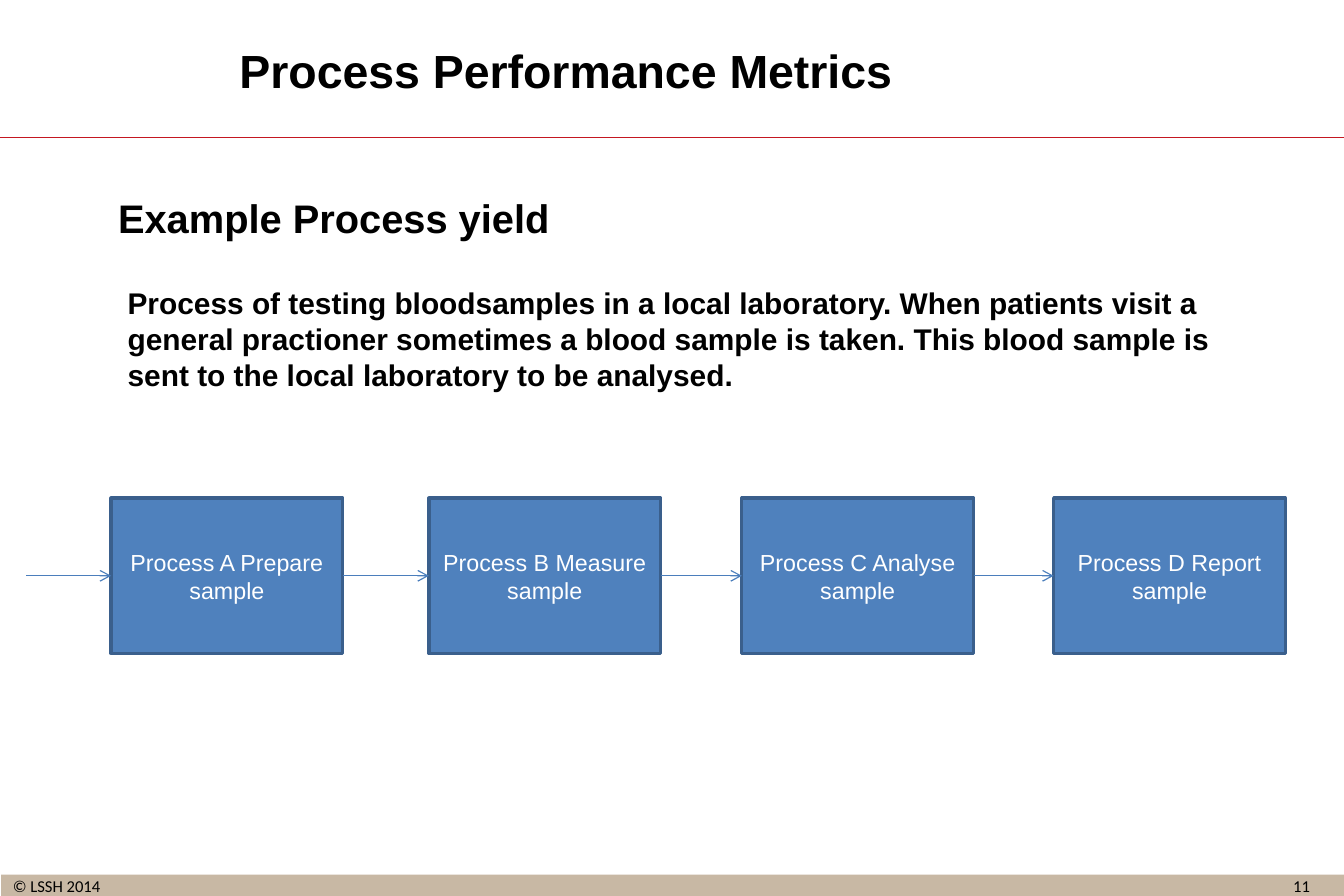
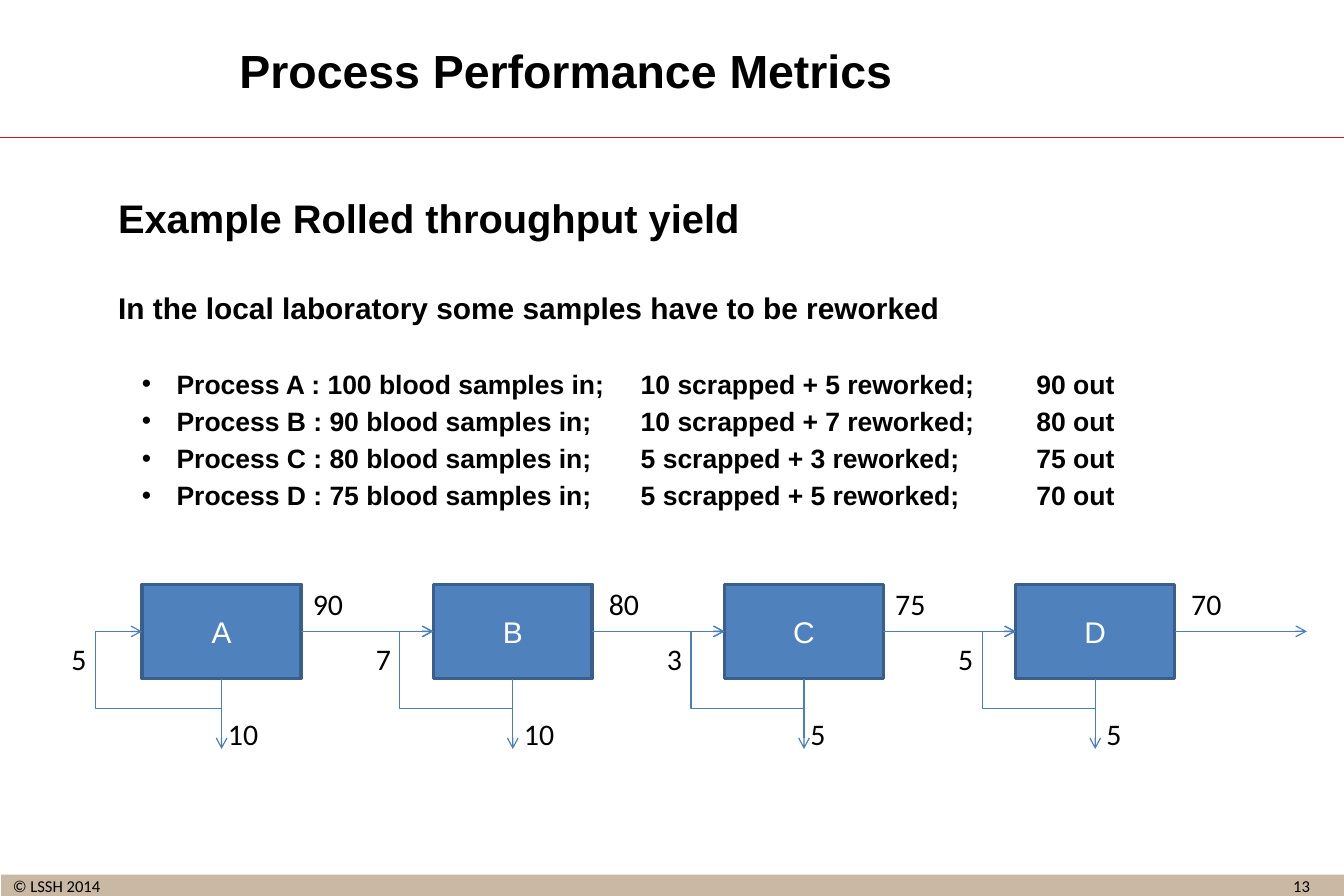
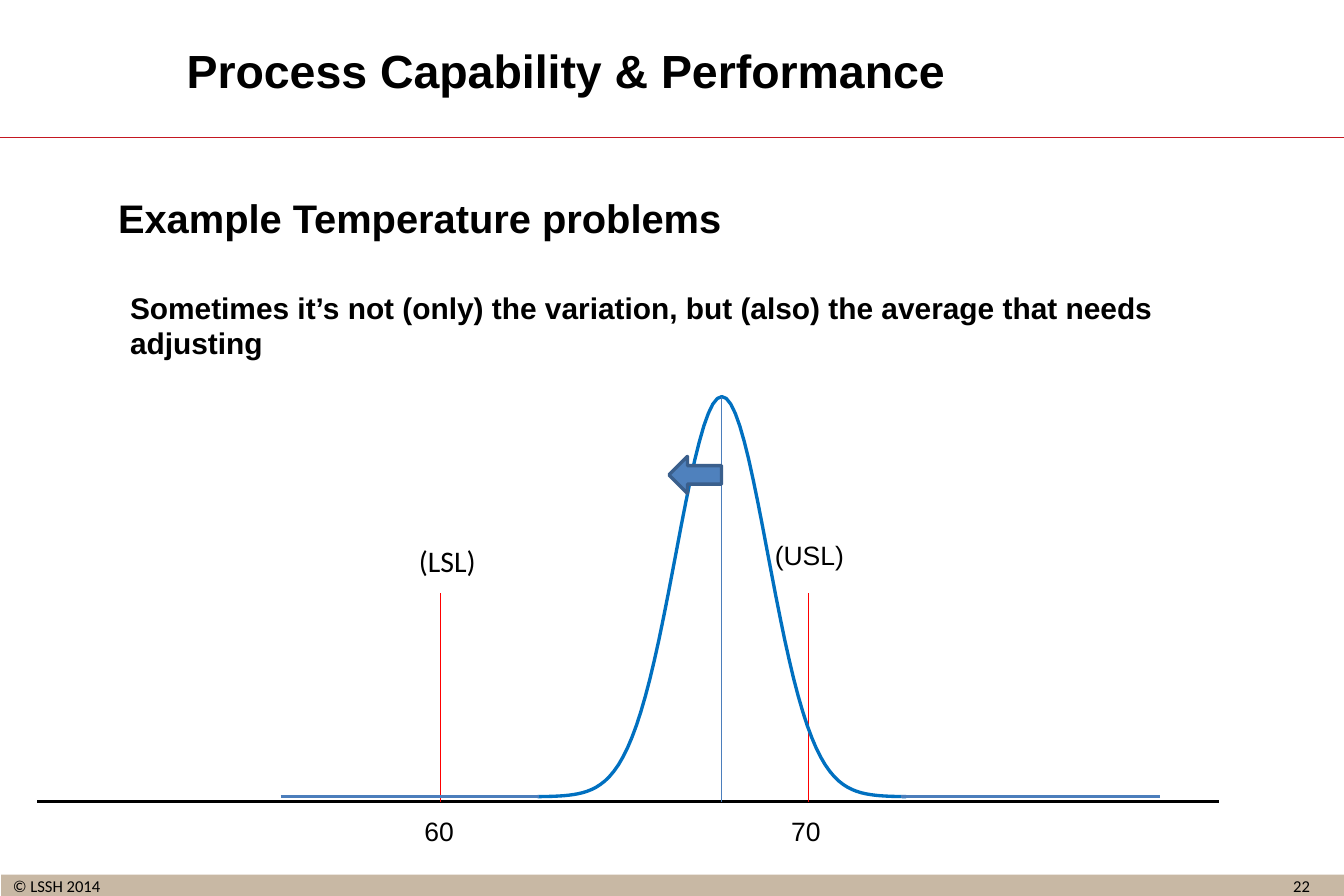
import math

import pptx
import pptx.util
from lxml import etree
from pptx.dml.color import RGBColor
from pptx.enum.shapes import MSO_CONNECTOR, MSO_SHAPE
from pptx.enum.text import MSO_ANCHOR, PP_ALIGN
from pptx.oxml.ns import qn

COLUMNS, ROWS = 45, 30
CELL = pptx.util.Inches(0.25)

BLACK = RGBColor(0x00, 0x00, 0x00)
WHITE = RGBColor(0xFF, 0xFF, 0xFF)
SAND = RGBColor(0xC8, 0xB8, 0xA4)
CRIMSON = RGBColor(0xC4, 0x17, 0x21)
RED = RGBColor(0xFF, 0x00, 0x00)
STEEL = RGBColor(0x4F, 0x81, 0xBD)
NAVY = RGBColor(0x3A, 0x5F, 0x8C)
FLOW = RGBColor(0x4B, 0x7E, 0xBC)
CURVE = RGBColor(0x00, 0x70, 0xC0)

BOTTOM, LEFT, RIGHT = 2, 1, 3


def grid(*lengths):
    """Turn grid units into EMU."""
    return [round(length * CELL) for length in lengths]


class Deck:
    def __init__(self):
        self.presentation = pptx.Presentation()
        self.presentation.slide_width = COLUMNS * CELL
        self.presentation.slide_height = ROWS * CELL
        self.slide = None

    def start(self, title, number):
        """Open a slide with its title, rule and footer."""
        blank = self.presentation.slide_layouts[6]
        self.slide = self.presentation.slides.add_slide(blank)
        self.shape(MSO_SHAPE.RECTANGLE, 0.04, 29.28, 44.96, 0.72, SAND)
        self.label(str(number), 42.16, 29.32, 2.84, 0.68, 10, "Calibri",
                   align=PP_ALIGN.CENTER, inset=0)
        self.label("© LSSH 2014", 0.04, 29.2, 6.36, 0.8, 10, "Calibri",
                   anchor=MSO_ANCHOR.BOTTOM, inset=0)
        self.line((0, 4.6), (COLUMNS, 4.6), CRIMSON)
        self.label(title, 3, 1.04, 31.88, 2.64, 28, bold=True,
                   align=PP_ALIGN.CENTER, anchor=MSO_ANCHOR.MIDDLE)

    def set_text(self, paragraph, text, size, font="Arial", color=BLACK,
                 bold=False, align=PP_ALIGN.LEFT):
        paragraph.text = text
        paragraph.alignment = align
        paragraph.font.size = pptx.util.Pt(size)
        paragraph.font.name = font
        paragraph.font.bold = bold
        paragraph.font.color.rgb = color

    def label(self, text, left, top, width, height, size, font="Arial",
              bold=False, align=PP_ALIGN.LEFT, anchor=MSO_ANCHOR.TOP,
              inset=0.2, wrap=True):
        box = self.slide.shapes.add_textbox(*grid(left, top, width, height))
        frame = box.text_frame
        frame.word_wrap = wrap
        frame.vertical_anchor = anchor
        frame.margin_top, frame.margin_bottom = grid(inset, inset)
        self.set_text(frame.paragraphs[0], text, size, font, bold=bold,
                      align=align)

    def body(self, heading, lead, gap, indent=0, bullets=()):
        """Add a heading, a lead paragraph and an optional bullet list."""
        box = self.slide.shapes.add_textbox(*grid(3.56, 6.28, 38.96, 22.04))
        frame = box.text_frame
        frame.word_wrap = True
        self.set_text(frame.paragraphs[0], heading, 24, bold=True)
        paragraph = frame.add_paragraph()
        paragraph.space_before = pptx.util.Pt(gap)
        paragraph._p.get_or_add_pPr().set("marL", str(*grid(indent)))
        self.set_text(paragraph, lead, 18, bold=True)
        for index, bullet in enumerate(bullets):
            paragraph = frame.add_paragraph()
            paragraph.space_before = pptx.util.Pt(3.2 if index else 25.7)
            self.add_bullet(paragraph, stops=(17.5, 30.75))
            self.set_text(paragraph, bullet, 16, bold=True)

    def add_bullet(self, paragraph, stops):
        properties = paragraph._p.get_or_add_pPr()
        margin, hanging = grid(1.96, -1.16)
        properties.set("marL", str(margin))
        properties.set("indent", str(hanging))
        etree.SubElement(properties, qn("a:buFont"), typeface="Arial")
        etree.SubElement(properties, qn("a:buChar"), char="•")
        tabs = etree.SubElement(properties, qn("a:tabLst"))
        for stop in grid(*stops):
            etree.SubElement(tabs, qn("a:tab"), pos=str(stop), algn="l")

    def shape(self, kind, left, top, width, height, fill, outline=None):
        shape = self.slide.shapes.add_shape(
            kind, *grid(left, top, width, height))
        shape.shadow.inherit = False
        shape.fill.solid()
        shape.fill.fore_color.rgb = fill
        if outline is None:
            shape.line.fill.background()
        else:
            shape.line.color.rgb = outline
            shape.line.width = pptx.util.Pt(2)
        return shape

    def step(self, text, left, top, width, height, size):
        """Draw one process box."""
        step = self.shape(MSO_SHAPE.RECTANGLE, left, top, width, height,
                          STEEL, NAVY)
        step.text_frame.word_wrap = True
        step.text_frame.vertical_anchor = MSO_ANCHOR.MIDDLE
        self.set_text(step.text_frame.paragraphs[0], text, size, color=WHITE,
                      align=PP_ALIGN.CENTER)
        return step

    def line(self, start, end, color, weight=0.75, arrow=False,
             kind=MSO_CONNECTOR.STRAIGHT):
        line = self.slide.shapes.add_connector(kind, *grid(*start, *end))
        line.line.color.rgb = color
        line.line.width = pptx.util.Pt(weight)
        properties = line._element.spPr
        if arrow:
            etree.SubElement(properties.find(qn("a:ln")), qn("a:tailEnd"),
                             type="arrow")
        etree.SubElement(properties, qn("a:effectLst"))
        return line

    def arrow(self, start, end, source=None, target=None, side=RIGHT):
        """Draw a flow arrow, joined to the boxes it touches."""
        arrow = self.line(start, end, FLOW, arrow=True)
        if source is not None:
            arrow.begin_connect(source, side)
        if target is not None:
            arrow.end_connect(target, LEFT)

    def rework_loop(self, step, left, top, width, height, reach, drop=1):
        """Lead from the bottom of a box round to its left side."""
        run, rise = width / 2, height / 2
        loop = self.line((left + run, top + height), (left, top + rise),
                         FLOW, arrow=True, kind=MSO_CONNECTOR.ELBOW)
        loop.begin_connect(step, BOTTOM)
        loop.end_connect(step, LEFT)
        # The frame is turned by 90 degrees, so its sides are swapped.
        loop.left, loop.top, loop.width, loop.height = grid(
            left + (run - rise) / 2, top + rise + (rise - run) / 2, rise, run)
        frame = loop._element.spPr.find(qn("a:xfrm"))
        frame.attrib.clear()
        frame.set("rot", str(90 * 60000))
        frame.set("flipH", "1")
        geometry = loop._element.spPr.find(qn("a:prstGeom"))
        geometry.set("prst", "bentConnector4")
        for guide in list(geometry):
            geometry.remove(guide)
        guides = etree.SubElement(geometry, qn("a:avLst"))
        for name, share in (("adj1", -drop / rise), ("adj2", 1 + reach / run)):
            etree.SubElement(guides, qn("a:gd"), name=name,
                             fmla=f"val {round(share * 100000)}")

    def bell(self, mean, sigma, base, height, half_width, steps=82):
        """Draw a normal curve standing on the base."""
        points = []
        for index in range(steps + 1):
            offset = half_width * (2 * index / steps - 1)
            density = math.exp(-((offset / sigma) ** 2) / 2)
            points.append(grid(mean + offset, base - height * density))
        builder = self.slide.shapes.build_freeform(*points[0], scale=1.0)
        builder.add_line_segments(points[1:], close=False)
        bell = builder.convert_to_shape()
        bell.shadow.inherit = False
        bell.fill.background()
        bell.line.color.rgb = CURVE
        bell.line.width = pptx.util.Pt(2)


def process_yield(deck):
    deck.start("Process Performance Metrics", 11)
    deck.body(
        "Example Process yield",
        "Process of testing bloodsamples in a local laboratory. When patients "
        "visit a general practioner sometimes a blood sample is taken. This "
        "blood sample is sent to the local laboratory to be analysed.",
        gap=26.1, indent=0.32)
    top, width, height = 16.68, 7.76, 5.2
    middle = top + height / 2
    previous, exit_x = None, 0.88
    for text, left in (("Process A Prepare sample", 3.72),
                       ("Process B Measure sample", 14.36),
                       ("Process C Analyse sample", 24.84),
                       ("Process D Report sample", 35.28)):
        step = deck.step(text, left, top, width, height, 14)
        deck.arrow((exit_x, middle), (left, middle), previous, step)
        previous, exit_x = step, left + width


def rolled_yield(deck):
    deck.start("Process Performance Metrics", 13)
    deck.body(
        "Example Rolled throughput yield",
        "In the local laboratory some samples have to be reworked",
        gap=28.9,
        bullets=(
            "Process A : 100 blood samples in;\t10 scrapped + 5 reworked;\t90 out",
            "Process B : 90 blood samples in;\t10 scrapped + 7 reworked;\t80 out",
            "Process C : 80 blood samples in;\t5 scrapped + 3 reworked;\t75 out",
            "Process D : 75 blood samples in;\t5 scrapped + 5 reworked;\t70 out"))
    top, width, height, pitch = 19.56, 5.32, 3.16, 9.75
    middle, bottom = top + height / 2, top + height
    previous, exit_x = None, None
    # Name, good, scrapped, reworked, reach of the loop, nudge of the labels
    for index, (name, good, scrapped, reworked, reach, nudge) in enumerate((
            ("A", 90, 10, 5, 1.56, 0), ("B", 80, 10, 7, 1.12, 0.16),
            ("C", 75, 5, 3, 1.12, 0), ("D", 70, 5, 5, 1.12, 0.16))):
        left = 4.76 + index * pitch
        right, center = left + width, left + width / 2
        step = deck.step(name, left, top, width, height, 18)
        if previous is not None:
            deck.arrow((exit_x, middle), (left, middle), previous, step)
        deck.arrow((center, bottom), (center, 25.08), step, side=BOTTOM)
        deck.rework_loop(step, left, top, width, height, reach)
        for count, label_left, label_top in (
                (good, right + nudge, 19.4),
                (scrapped, right + nudge - 2.84, 23.76),
                (reworked, left - reach - 1.2, 21.24)):
            deck.label(str(count), label_left, label_top, 2.64, 1.6, 18,
                       "Calibri")
        previous, exit_x = step, right
    deck.arrow((exit_x, middle), (43.76, middle), previous)


def temperature(deck):
    deck.start("Process Capability & Performance", 22)
    deck.body(
        "Example Temperature problems",
        "Sometimes it’s not (only) the variation, but (also) the average that "
        "needs adjusting",
        gap=28.9, indent=0.4)
    axis, base, mean, peak = 26.84, 26.68, 24.17, 13.28
    for text, left, top, width, size, font in (
            ("(LSL)", 13.6, 17.98, 2.76, 18, "Calibri"),
            ("(USL)", 25.52, 17.84, 3.16, 16, "Arial"),
            ("60", 13.8, 27.08, 1.8, 16, "Arial"),
            ("70", 26.08, 27.08, 1.8, 16, "Arial")):
        deck.label(text, left, top, width, 1.48, size, font,
                   align=PP_ALIGN.CENTER, wrap=False)
    deck.line((1.24, axis), (40.8, axis), BLACK, 1.5)
    for limit in (14.76, 27.08):
        deck.line((limit, axis), (limit, 19.84), RED)
    deck.bell(mean, 1.54, base, base - peak, half_width=6.17)
    for start, end in ((30.16, 38.84), (9.4, 18.04)):
        deck.line((start, base), (end, base), FLOW, 2)
    deck.line((mean, peak), (mean, axis), FLOW)
    deck.shape(MSO_SHAPE.LEFT_ARROW, 22.4, 15.28, 1.76, 1.24, STEEL, NAVY)


def main():
    deck = Deck()
    process_yield(deck)
    rolled_yield(deck)
    temperature(deck)
    deck.presentation.save("out.pptx")


if __name__ == "__main__":
    main()
